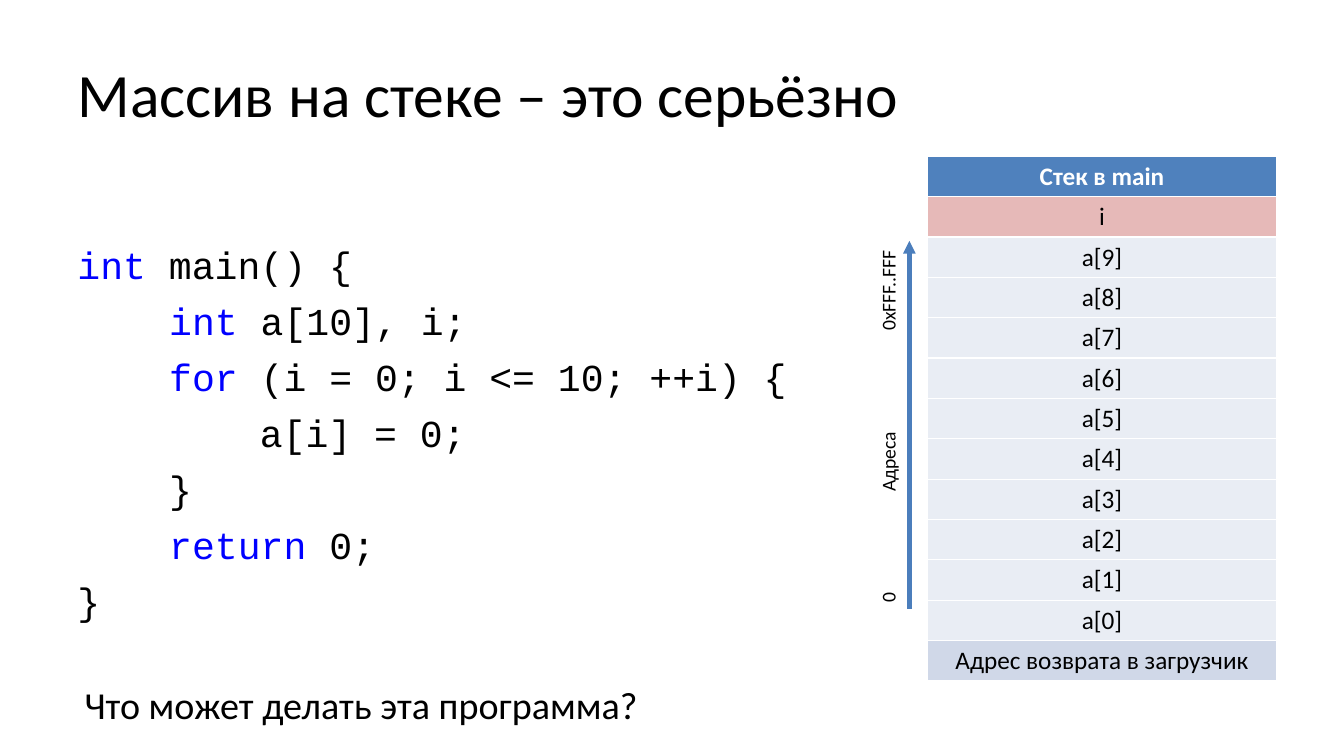
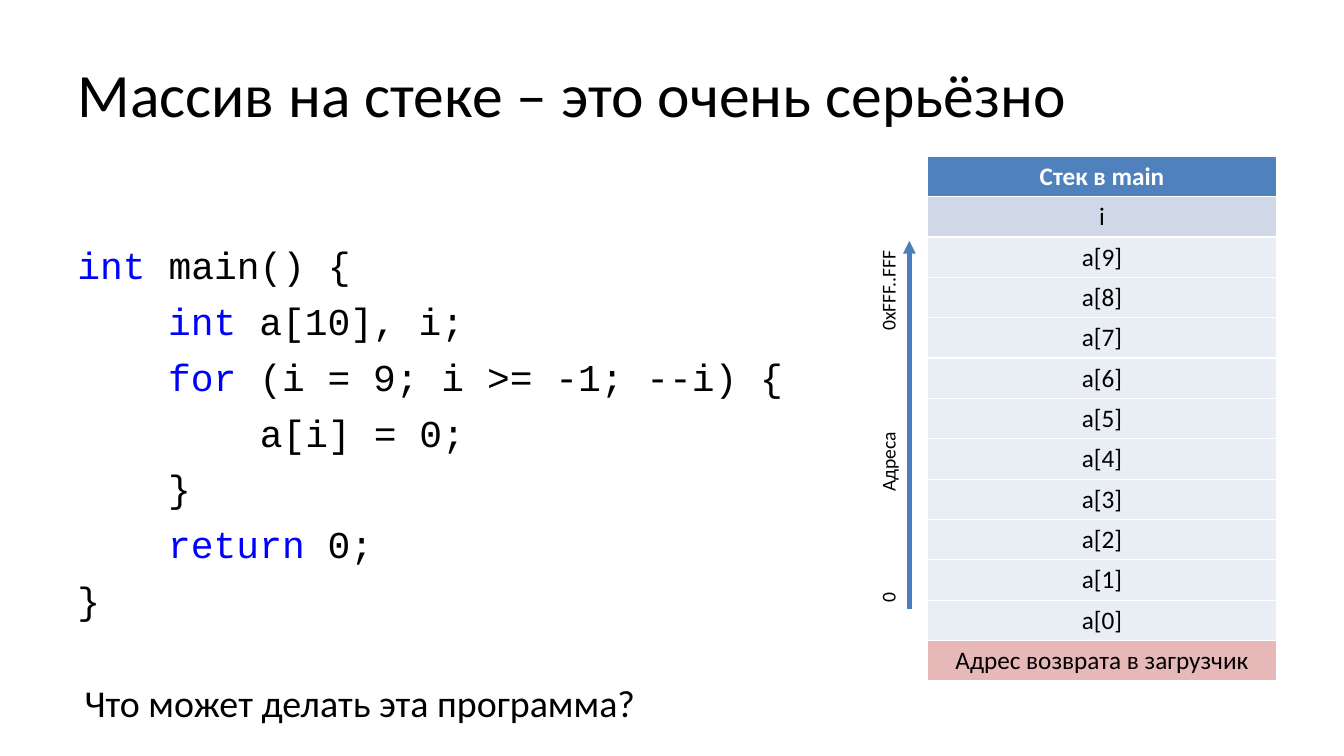
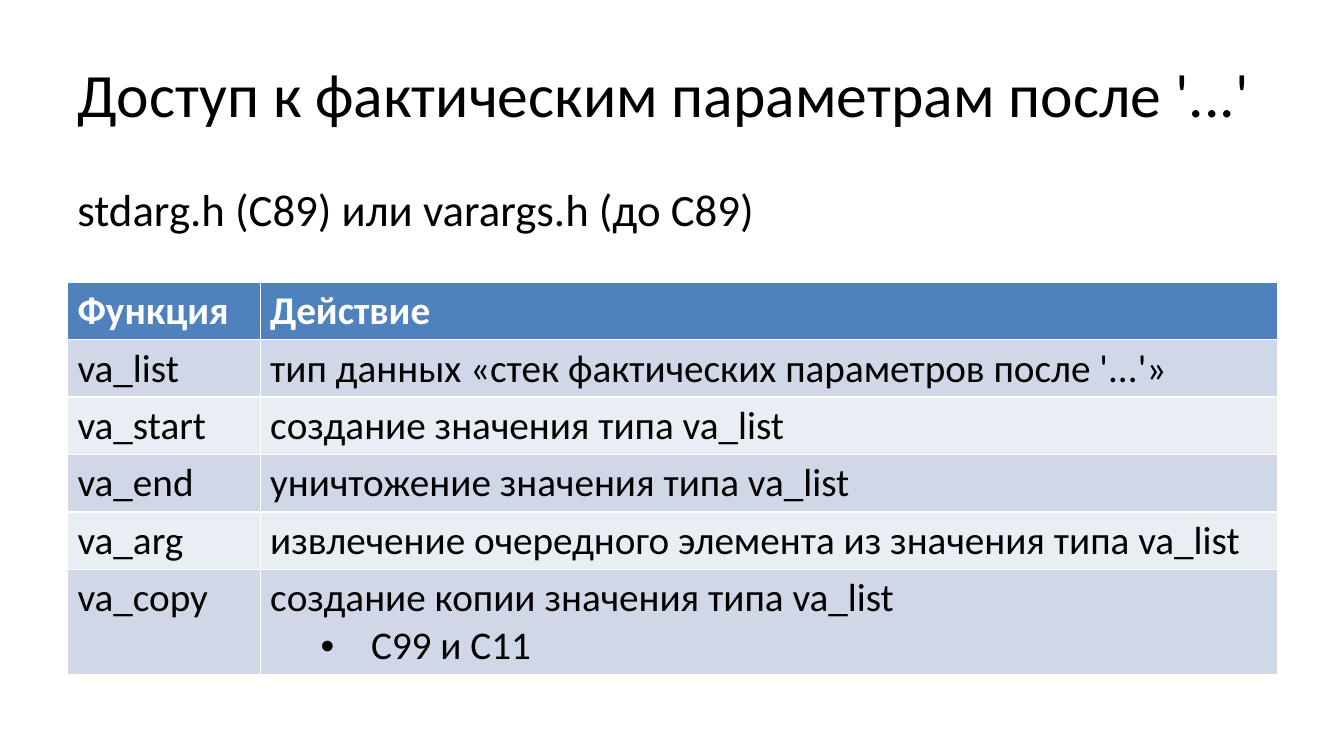
from lxml import etree
from pptx import Presentation
from pptx.dml.color import RGBColor
from pptx.enum.shapes import MSO_CONNECTOR
from pptx.enum.text import MSO_ANCHOR, PP_ALIGN
from pptx.oxml.ns import qn
from pptx.util import Inches, Pt

STRAIGHT = MSO_CONNECTOR.STRAIGHT
MIDDLE = MSO_ANCHOR.MIDDLE
LEFT, CENTER = PP_ALIGN.LEFT, PP_ALIGN.CENTER

BLACK = RGBColor(0x00, 0x00, 0x00)
WHITE = RGBColor(0xFF, 0xFF, 0xFF)
KEYWORD = RGBColor(0x00, 0x00, 0xFF)
HEADER = RGBColor(0x4F, 0x81, 0xBD)
BAND_DARK = RGBColor(0xD0, 0xD8, 0xE8)
BAND_LIGHT = RGBColor(0xE9, 0xED, 0xF4)
DANGER = RGBColor(0xE6, 0xB9, 0xB8)
ARROW = RGBColor(0x4B, 0x7E, 0xBC)

SANS, MONO = "Calibri", "Courier New"
KEYWORDS = ("int", "for", "return")
MARGIN, CONTENT_W = 0.67, 12
STACK_LEFT, STACK_TOP, STACK_W, STACK_ROW = 9.2, 1.55, 3.46, 0.4
LABEL_X, LABEL_H = 8.81, 0.34
ARROW_X, ARROW_BOTTOM, ARROW_TOP = 9.02, 6.04, 2.39

RETURN_ADDRESS = "Адрес возврата в загрузчик"
STACK = ["Стек в main", "i"] + [f"a[{n}]" for n in range(9, -1, -1)] + [RETURN_ADDRESS]
QUESTION = "Что может делать эта программа?"
ADDRESS_LABELS = [("0", 5.93, 0.3), ("Адреса", 4.58, 0.81), ("0xFFF..FFF", 2.88, 1)]
FUNCTIONS = [
    ("Функция", "Действие"),
    ("va_list", "тип данных «стек фактических параметров после '...'»"),
    ("va_start", "создание значения типа va_list"),
    ("va_end", "уничтожение значения типа va_list"),
    ("va_arg", "извлечение очередного элемента из значения типа va_list"),
    ("va_copy", "создание копии значения типа va_list\nС99 и С11"),
]


def style_run(r, size, color=BLACK, font=SANS, bold=False):
    """Set the font of one run."""
    r.font.name, r.font.size, r.font.bold = font, Pt(size), bold
    r.font.color.rgb = color


def style_text(tf, size, color=BLACK, bold=False, align=LEFT):
    """Format every paragraph of a text frame alike."""
    for p in tf.paragraphs:
        p.alignment = align
        for r in p.runs:
            style_run(r, size, color, bold=bold)


def indent(p, left, first=0):
    """Set the left margin and first-line indent of a paragraph, in inches."""
    pPr = p._p.get_or_add_pPr()
    pPr.set("marL", str(Inches(left)))
    pPr.set("indent", str(Inches(first)))
    return pPr


def add_titled_slide(prs, title):
    """Add a title-only slide with the shared title style."""
    s = prs.slides.add_slide(prs.slide_layouts[5])
    sp = s.shapes.title
    sp.left, sp.top = Inches(MARGIN), Inches(0.3)
    sp.width, sp.height = Inches(CONTENT_W), Inches(1.25)
    tf = sp.text_frame
    tf.text = title
    tf.vertical_anchor = MIDDLE
    style_text(tf, 44)
    return s


def add_textbox(s, left, top, width, height, wrap=True):
    """Add an empty text box and return it."""
    sp = s.shapes.add_textbox(Inches(left), Inches(top), Inches(width), Inches(height))
    sp.text_frame.word_wrap = wrap
    return sp


def add_code(s, lines, size):
    """Add a program with highlighted keywords, followed by the question."""
    tf = add_textbox(s, MARGIN, 2.35, 8, 4.65).text_frame
    level_width = 4 * 0.6 * size / 72
    for i, (level, line) in enumerate(lines):
        p = tf.paragraphs[0] if i == 0 else tf.add_paragraph()
        p.space_before = Pt(7.3 if i else 0)
        indent(p, round(level * level_width, 2))
        word, space, rest = line.partition(" ")
        if word in KEYWORDS:
            r = p.add_run()
            r.text = word
            style_run(r, size, KEYWORD, MONO)
            line = space + rest
        r = p.add_run()
        r.text = line
        style_run(r, size, font=MONO)
    p = tf.add_paragraph()
    p.text = QUESTION
    p.space_before = Pt(41.5)
    indent(p, 0.07)
    style_run(p.runs[0], size)


def add_table(s, rows, left, top, widths, row_height):
    """Add a table and return it."""
    shape = s.shapes.add_table(len(rows), len(widths), Inches(left), Inches(top),
                               Inches(sum(widths)), Inches(row_height * len(rows)))
    table = shape.table
    for column, width in zip(table.columns, widths):
        column.width = Inches(width)
    for i, row in enumerate(rows):
        for j, text in enumerate(row):
            table.cell(i, j).text = text
    return table


def style_row(table, i, fill, size, align=LEFT):
    """Fill and format one table row; the first one is the header."""
    for cell in table.rows[i].cells:
        cell.fill.solid()
        cell.fill.fore_color.rgb = fill
        style_text(cell.text_frame, size, BLACK if i else WHITE, i == 0, align)


def add_stack(s, overwritten):
    """Add the stack table with the overwritten entry marked."""
    table = add_table(s, [(name,) for name in STACK], STACK_LEFT, STACK_TOP,
                      [STACK_W], STACK_ROW)
    fills = {STACK[0]: HEADER, "i": BAND_DARK, RETURN_ADDRESS: BAND_DARK, overwritten: DANGER}
    for i, name in enumerate(STACK):
        style_row(table, i, fills.get(name, BAND_LIGHT), 18, CENTER)


def add_address_axis(s):
    """Add the upward arrow of addresses with its rotated labels."""
    line = s.shapes.add_connector(STRAIGHT, Inches(ARROW_X), Inches(ARROW_BOTTOM),
                                  Inches(ARROW_X), Inches(ARROW_TOP))
    line.line.color.rgb = ARROW
    line.line.width = Pt(3)
    etree.SubElement(line.line._get_or_add_ln(), qn("a:tailEnd"), type="triangle")
    etree.SubElement(line._element.spPr, qn("a:effectLst"))
    for text, y, width in ADDRESS_LABELS:
        sp = add_textbox(s, LABEL_X - width / 2, y - LABEL_H / 2, width, LABEL_H, wrap=False)
        sp.rotation = 270
        sp.text_frame.text = text
        style_text(sp.text_frame, 14, align=CENTER)


def add_stack_slide(prs, title, loop, size, overwritten):
    """Add a slide with a program that overruns its array."""
    s = add_titled_slide(prs, title)
    add_code(s, [(0, "int main() {"), (1, "int a[10], i;"), (1, loop), (2, "a[i] = 0;"),
                 (1, "}"), (1, "return 0;"), (0, "}")], size)
    add_stack(s, overwritten)
    add_address_axis(s)


def add_functions_slide(prs):
    """Add the slide on variable argument functions."""
    s = add_titled_slide(prs, "Доступ к фактическим параметрам после '...'")
    tf = add_textbox(s, MARGIN, 1.75, CONTENT_W, 0.7).text_frame
    tf.text = "stdarg.h (С89) или varargs.h (до С89)"
    style_text(tf, 32)
    table = add_table(s, FUNCTIONS, MARGIN, 2.8, [1.91, 10.09], 0.57)
    for i in range(len(FUNCTIONS)):
        style_row(table, i, (BAND_DARK if i % 2 else BAND_LIGHT) if i else HEADER, 28)
    table.rows[len(FUNCTIONS) - 1].height = Inches(1.04)
    p = table.cell(len(FUNCTIONS) - 1, 1).text_frame.paragraphs[1]
    p.level = 1
    pPr = indent(p, 1, -0.5)
    etree.SubElement(pPr, qn("a:buFont"), typeface="Arial")
    etree.SubElement(pPr, qn("a:buChar"), char="•")


def main():
    """Build and save the presentation."""
    prs = Presentation()
    prs.slide_width, prs.slide_height = Inches(13.33), Inches(7.5)
    add_stack_slide(prs, "Массив на стеке – это серьёзно",
                    "for (i = 0; i <= 10; ++i) {", 27.2, "i")
    add_stack_slide(prs, "Массив на стеке – это очень серьёзно",
                    "for (i = 9; i >= -1; --i) {", 27.1, RETURN_ADDRESS)
    add_functions_slide(prs)
    prs.save("out.pptx")


if __name__ == "__main__":
    main()
